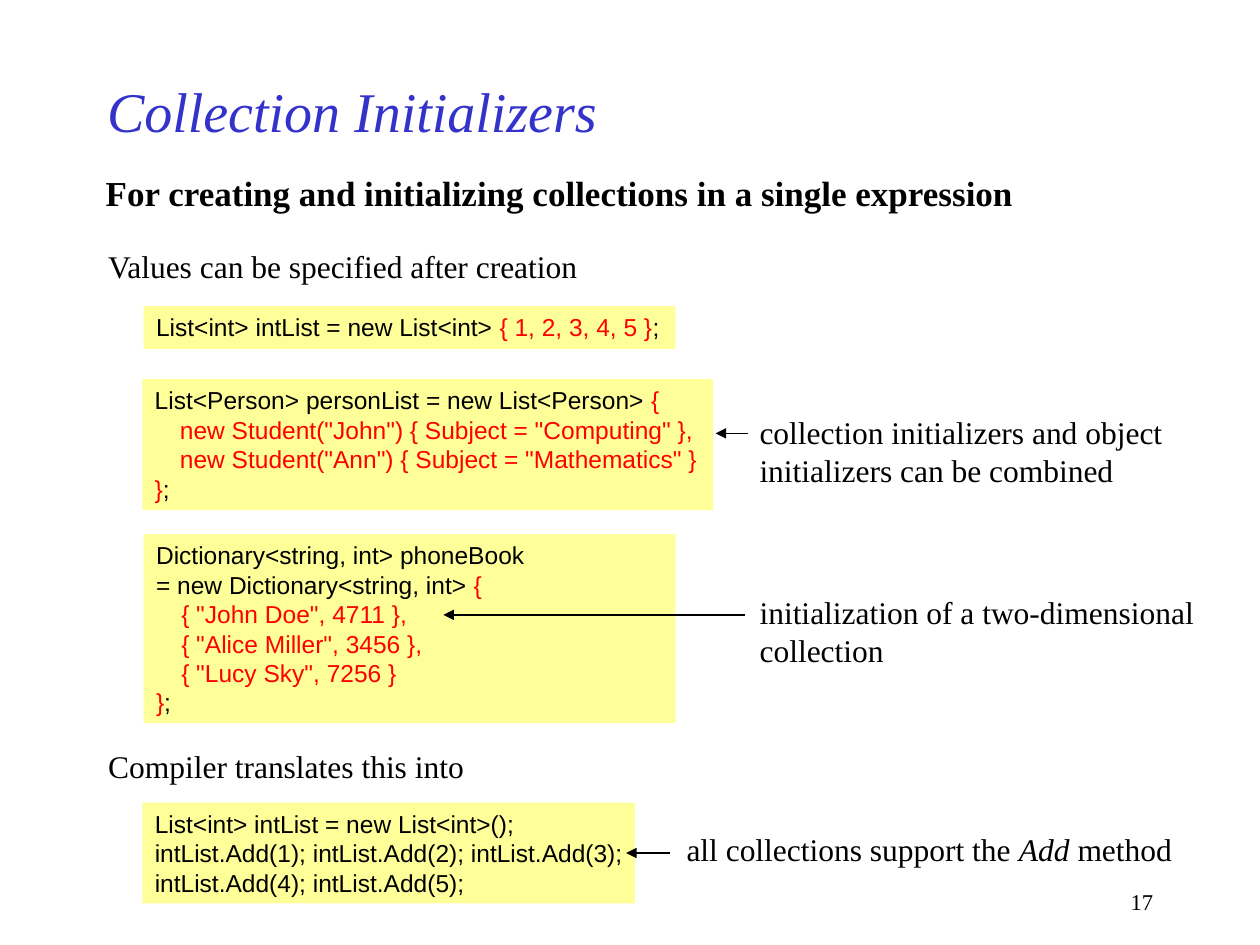
from lxml import etree
from pptx import Presentation
from pptx.dml.color import RGBColor
from pptx.enum import shapes, text
from pptx.oxml import ns
from pptx.util import Inches, Pt

BLACK, RED, BLUE, YELLOW = "000000", "FF0000", "3333CC", "FFFF99"
SERIF, SANS = "Times New Roman", "Arial"
CODE_INDENT = 0.2


def color(value):
    return RGBColor.from_string(value)


def add_tab_stop(para, position):
    properties = para._p.get_or_add_pPr()
    tabs = etree.SubElement(properties, ns.qn("a:tabLst"))
    etree.SubElement(tabs, ns.qn("a:tab"), pos=str(Inches(position)), algn="l")


def set_font(para, name, size, shade=BLACK, bold=False, italic=False):
    font = para.font
    font.name, font.size = name, Pt(size)
    font.bold, font.italic = bold, italic
    font.color.rgb = color(shade)


def add_label(slide, place, lines, size=18, bold=False, wrap=False):
    """Add serif text; each line is a list of (words, italic) pairs or a string."""
    box = slide.shapes.add_textbox(*map(Inches, place))
    frame = box.text_frame
    frame.word_wrap = wrap
    if not wrap:
        frame.auto_size = text.MSO_AUTO_SIZE.SHAPE_TO_FIT_TEXT
    for index, line in enumerate(lines):
        para = frame.paragraphs[0] if index == 0 else frame.add_paragraph()
        set_font(para, SERIF, size, bold=bold)
        if isinstance(line, str):
            para.add_run().text = line
            continue
        for words, italic in line:
            span = para.add_run()
            span.text = words
            span.font.italic = italic
    return box


def add_code(slide, place, lines, wrap=False):
    """Add a yellow code panel; each line is a list of (code, colour) pairs."""
    panel = slide.shapes.add_shape(
        shapes.MSO_SHAPE.RECTANGLE, *map(Inches, place))
    panel.shadow.inherit = False
    panel.fill.solid()
    panel.fill.fore_color.rgb = color(YELLOW)
    panel.line.fill.background()
    frame = panel.text_frame
    frame.word_wrap = wrap
    frame.vertical_anchor = text.MSO_ANCHOR.TOP
    for index, line in enumerate(lines):
        para = frame.paragraphs[0] if index == 0 else frame.add_paragraph()
        para.alignment = text.PP_ALIGN.LEFT
        add_tab_stop(para, CODE_INDENT)
        set_font(para, SANS, 14)
        for code, shade in line:
            span = para.add_run()
            span.text = code
            span.font.color.rgb = color(shade)


def add_arrow(slide, start, end, y):
    arrow = slide.shapes.add_connector(
        shapes.MSO_CONNECTOR.STRAIGHT,
        Inches(start), Inches(y), Inches(end), Inches(y))
    arrow.line.color.rgb = color(BLACK)
    arrow.line.width = Pt(0.75)
    etree.SubElement(arrow.line._get_or_add_ln(), ns.qn("a:tailEnd"),
                     type="triangle")
    etree.SubElement(arrow._element.spPr, ns.qn("a:effectLst"))


def add_title(slide, words):
    title = slide.shapes.title
    title.left, title.top = Inches(0.75), Inches(0.5)
    title.width, title.height = Inches(7.5), Inches(0.75)
    frame = title.text_frame
    frame.text = words
    frame.vertical_anchor = text.MSO_ANCHOR.MIDDLE
    para = frame.paragraphs[0]
    para.alignment = text.PP_ALIGN.LEFT
    set_font(para, SERIF, 32, BLUE, italic=True)


def main():
    deck = Presentation()
    deck.slide_width, deck.slide_height = Inches(10), Inches(7.5)
    slide = deck.slides.add_slide(deck.slide_layouts[5])

    add_title(slide, "Collection Initializers")
    add_label(slide, (0.74, 1.31, 7.42, 0.44),
              ["For creating and initializing collections in a single expression"],
              size=20, bold=True)
    number = add_label(slide, (7.17, 7, 2.08, 0.33), ["17"], size=12.9, wrap=True)
    number.text_frame.paragraphs[0].alignment = text.PP_ALIGN.RIGHT

    add_label(slide, (0.76, 1.91, 3.95, 0.4),
              ["Values can be specified after creation"])
    add_code(slide, (1.14, 2.43, 4.22, 0.34), [
        [("List<int> intList = new List<int> ", BLACK),
         ("{ 1, 2, 3, 4, 5 }", RED), (";", BLACK)],
    ], wrap=True)

    closing = [("}", RED), (";", BLACK)]
    add_code(slide, (1.13, 3.01, 4.53, 1.04), [
        [("List<Person> personList = new List<Person> ", BLACK), ("{", RED)],
        [('\tnew Student("John") { Subject = "Computing" },', RED)],
        [('\tnew Student("Ann") { Subject = "Mathematics" }', RED)],
        closing,
    ])
    add_arrow(slide, 5.94, 5.68, 3.44)
    add_label(slide, (5.93, 3.23, 3.4, 0.7),
              ["collection initializers and object", "initializers can be combined"])

    add_code(slide, (1.14, 4.24, 4.22, 1.5), [
        [("Dictionary<string, int> phoneBook", BLACK)],
        [("= new Dictionary<string, int> ", BLACK), ("{", RED)],
        [('\t{ "John Doe", 4711 },', RED)],
        [('\t{ "Alice Miller", 3456 },', RED)],
        [('\t{ "Lucy Sky", 7256 }', RED)],
        closing,
    ], wrap=True)
    add_arrow(slide, 5.91, 3.52, 4.88)
    add_label(slide, (5.93, 4.66, 3.65, 0.7),
              ["initialization of a two-dimensional", "collection"])

    add_label(slide, (0.76, 5.88, 3.05, 0.4), ["Compiler translates this into"])
    add_code(slide, (1.13, 6.37, 3.91, 0.8), [
        [("List<int> intList = new List<int>();", BLACK)],
        [("intList.Add(1); intList.Add(2); intList.Add(3);", BLACK)],
        [("intList.Add(4); intList.Add(5);", BLACK)],
    ])
    add_arrow(slide, 5.32, 4.97, 6.77)
    add_label(slide, (5.35, 6.54, 4.05, 0.4), [
        [("all collections support the ", False), ("Add", True), (" method", False)],
    ])

    deck.save("out.pptx")


if __name__ == "__main__":
    main()
